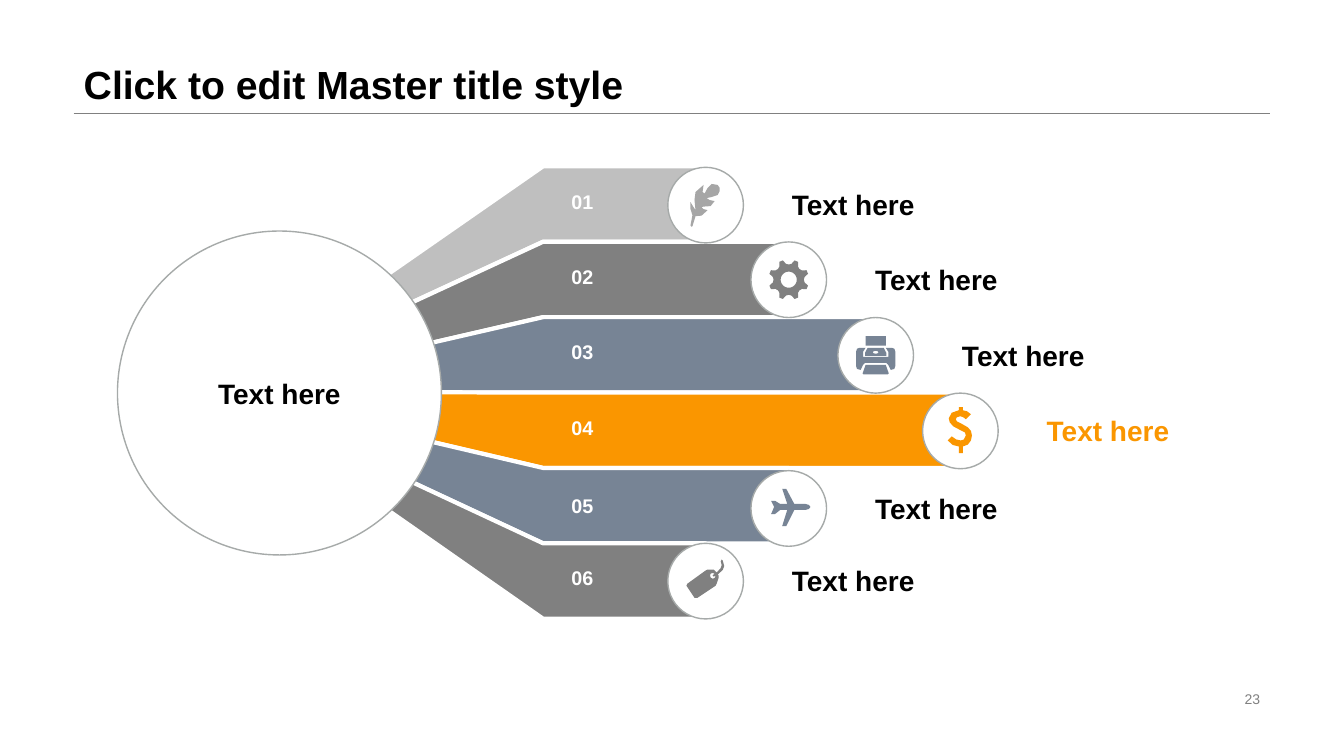
from math import cos, radians, sin

from pptx import Presentation
from pptx.dml.color import RGBColor
from pptx.enum.shapes import MSO_CONNECTOR, MSO_SHAPE
from pptx.enum.text import MSO_ANCHOR, PP_ALIGN
from pptx.oxml import parse_xml
from pptx.util import Pt

LEFT, CENTER, RIGHT = PP_ALIGN.LEFT, PP_ALIGN.CENTER, PP_ALIGN.RIGHT
MIDDLE, BOTTOM = MSO_ANCHOR.MIDDLE, MSO_ANCHOR.BOTTOM
OVAL, STRAIGHT = MSO_SHAPE.OVAL, MSO_CONNECTOR.STRAIGHT
EMPTY_EFFECTS = '<a:effectLst xmlns:a="http://schemas.openxmlformats.org/drawingml/2006/main"/>'
color = RGBColor.from_string

deck = Presentation()
deck.slide_width, deck.slide_height = Pt(960), Pt(540)
page = deck.slides.add_slide(deck.slide_layouts[5])


def write_text(box, text, size, hue, align=CENTER, bold=True, anchor=MIDDLE):
    frame = box.text_frame
    frame.text = text
    frame.word_wrap = True
    frame.vertical_anchor = anchor
    frame.margin_left = frame.margin_right = frame.margin_top = frame.margin_bottom = 0
    para = frame.paragraphs[0]
    para.alignment = align
    font = para.runs[0].font
    font.name, font.size, font.bold = "Arial", Pt(size), bold
    font.color.rgb = color(hue)


def draw_outline(contours, hue):
    contours = [[(Pt(x), Pt(y)) for x, y in contour] for contour in contours]
    builder = page.shapes.build_freeform(*contours[0][0])
    for index, contour in enumerate(contours):
        if index:
            builder.move_to(*contour[0])
        builder.add_line_segments(contour[1:], close=True)
    shape = builder.convert_to_shape()
    shape.shadow.inherit = False
    shape.fill.solid()
    shape.fill.fore_color.rgb = color(hue)
    shape.line.fill.background()
    return shape


# Title, rule and page number
title = page.shapes.title
title.left, title.top, title.width, title.height = Pt(59.8), Pt(0), Pt(847.4), Pt(77)
write_text(title, "Click to edit Master title style", 28, "000000", LEFT, anchor=BOTTOM)
title.text_frame.paragraphs[0].line_spacing = 0.9

rule = page.shapes.add_connector(STRAIGHT, Pt(52.6), Pt(81), Pt(907.2), Pt(81))
rule.line.color.rgb = color("808080")
rule.line.width = Pt(0.25)
rule._element.spPr.append(parse_xml(EMPTY_EFFECTS))

number_box = page.shapes.add_textbox(Pt(678.2), Pt(491), Pt(221.8), Pt(16.6))
write_text(number_box, "23", 10, "808080", RIGHT, bold=False)

# Icon outlines, in hundredths of an inch around the badge centre
feather = [[
    (-13, 21), (-10, 11), (-4, 10.5), (2, 5), (-2, 4), (-4, 2), (-2, 1.5), (5, 1),
    (9, -4), (4, -5), (1, -7), (6, -8), (12, -10), (14, -14), (14, -17), (12, -20),
    (6, -21), (2, -17), (-1, -11.5), (-3, -13), (-2, -20), (-10, -13), (-11, -5),
    (-10, 5), (-12, 2), (-15, -3), (-15, 4), (-13, 10), (-15, 20), (-14, 21.5)]]

tooth = [(0, 15), (10, 16), (17, 20), (28, 20), (35, 16)]
gear = [
    [(r * cos(radians(a + turn)), r * sin(radians(a + turn)))
     for turn in range(0, 360, 45) for a, r in tooth],
    [(8 * cos(radians(a)), 8 * sin(radians(a))) for a in range(0, 360, 15)]]

printer_halves = [
    [(10, -19), (10, -9.5)],
    [(10, 9.5), (13, 18), (12, 19)],
    [(12.5, 1.5), (12.5, -3.5), (10, -7.5), (16, -7.5), (18.5, -6.5), (19.5, -3.5),
     (19.5, 10.5), (18.5, 13.5), (15, 14.5), (12.5, 9.5), (10.5, 7.5)],
    [(8, -7.5), (10.5, -2.5), (10.5, 0.5)],
    [(0, -4.5), (2, -4), (3, -3), (2, -2), (0, -1.5)]]
printer = [half + [(-x, y) for x, y in reversed(half)] for half in printer_halves]

dollar = [[
    (10.5, -16.5), (5.5, -11.5), (3, -13.5), (0, -14.5), (-3.5, -13.5), (-4.5, -11.5),
    (-3.5, -9.5), (0.5, -7.5), (7.5, -3.5), (10.5, 0), (11.5, 4.5), (10.5, 9.5),
    (7.5, 13.5), (2.5, 15.5), (2.5, 22), (-1.5, 22), (-1.5, 15.5), (-7.5, 14),
    (-12.5, 9.5), (-8.5, 5.5), (-4, 8.5), (0.5, 9.5), (3.5, 8.5), (5.5, 4.5),
    (4.5, 1.5), (0.5, -0.5), (-7, -4.5), (-10.5, -8.5), (-11.5, -12.5), (-8.5, -18),
    (-1.5, -20.5), (-1.5, -23.5), (2.5, -23.5), (2.5, -20.5), (6.5, -19.5)]]

plane = [[
    (-6.5, 17.5), (-2.5, 17.5), (5.5, 1.5), (16.5, 1.5), (20, 0.5), (21.5, -1.5),
    (20, -3.5), (16.5, -4.5), (5.5, -4.5), (-2.5, -19.5), (-6.5, -19.5), (-1.5, -4.5),
    (-8.5, -4.5), (-13.5, -7.5), (-17.5, -7.5), (-14.5, -1.5), (-17.5, 5.5),
    (-13.5, 5.5), (-8.5, 1.5), (-1.5, 1.5)]]

tag = [
    [(16, -21.5), (17, -20.5), (18.5, -15), (17, -11), (12, -6.5), (13, -5.5),
     (13, -3.5), (11, 2.5), (10, 4.5), (-8, 16.5), (-11, 16.5), (-19, 4.5), (-18, 2.5),
     (0, -10.5), (2, -11.5), (8, -11.5), (11, -8.5), (15, -13), (16, -16), (15, -19.5)],
    [(9, -7.5), (7, -8), (5, -7.5), (4.5, -5.5), (5, -3.5), (7, -2.5), (9, -3),
     (10, -5.5), (8, -4.5), (7, -5.5)]]

# Badge centre x, badge top, ribbon colour, icon colour, label colour, icon
branches = [
    (504, 119.5, "BFBFBF", "A6A6A6", "000000", feather),
    (563.4, 172.8, "808080", "808080", "000000", gear),
    (625.5, 226.8, "778495", "778495", "000000", printer),
    (686, 280.8, "FA9600", "FA9600", "FA9600", dollar),
    (563.4, 336.2, "778495", "778495", "000000", plane),
    (504, 388.1, "808080", "808080", "000000", tag)]
BADGE = 54
HUB_X, HUB_EDGE, BEND_X = 106.6, 241, 388
hub_levels = [221 + 19.7 * i for i in range(7)]
outer_levels = [118.8 + 53.87 * i for i in range(7)]

# Ribbons fanning out from the hub
for i, (center_x, top, ribbon_hue, *rest) in enumerate(branches):
    upper = [(HUB_X, hub_levels[i]), (HUB_EDGE, hub_levels[i]),
             (BEND_X, outer_levels[i]), (center_x, outer_levels[i])]
    lower = [(center_x, outer_levels[i + 1]), (BEND_X, outer_levels[i + 1]),
             (HUB_EDGE, hub_levels[i + 1]), (HUB_X, hub_levels[i + 1])]
    ribbon = draw_outline([upper + lower], ribbon_hue)
    ribbon.line.color.rgb = color("FFFFFF")
    ribbon.line.width = Pt(3)

# Hub and badges
discs = [(83.9, 165, 231.4)]
discs += [(center_x - BADGE / 2, top, BADGE) for center_x, top, *rest in branches]
for left, top, size in discs:
    disc = page.shapes.add_shape(OVAL, Pt(left), Pt(top), Pt(size), Pt(size))
    disc.shadow.inherit = False
    disc.fill.solid()
    disc.fill.fore_color.rgb = color("FFFFFF")
    disc.line.color.rgb = color("A6AAA9")
    disc.line.width = Pt(1)
    if size > BADGE:
        write_text(disc, "Text here", 20, "000000")

# Icons, numbers and labels
for i, (center_x, top, ribbon_hue, icon_hue, label_hue, icon) in enumerate(branches):
    center_y = top + BADGE / 2
    draw_outline([[(center_x + 0.72 * x, center_y + 0.72 * y) for x, y in contour]
                  for contour in icon], icon_hue)
    number = page.shapes.add_textbox(Pt(408.2), Pt(top + 7.3), Pt(30), Pt(34.6))
    write_text(number, f"{i + 1:02}", 14.1, "FFFFFF", LEFT)
    label = page.shapes.add_textbox(Pt(center_x + 26.6), Pt(top + 9.4), Pt(157.7), Pt(34.6))
    write_text(label, "Text here", 20, label_hue)

deck.save("out.pptx")
